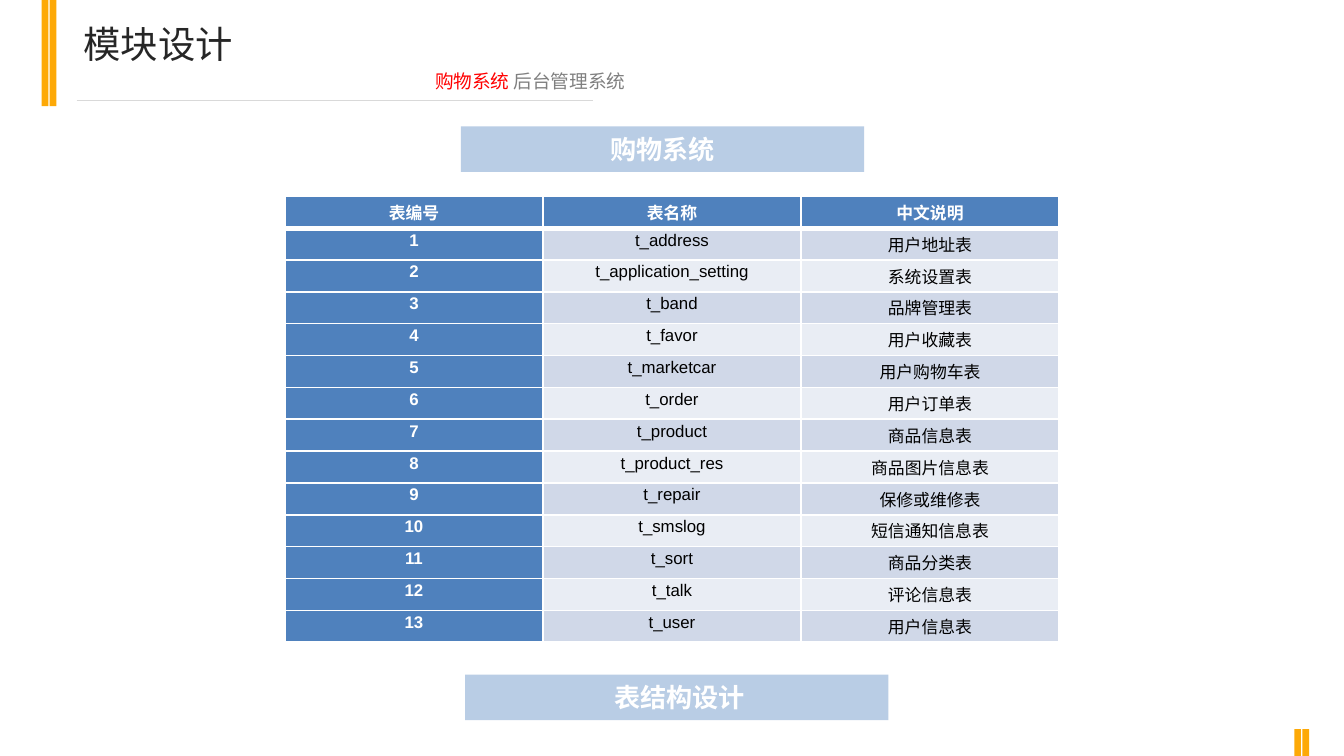
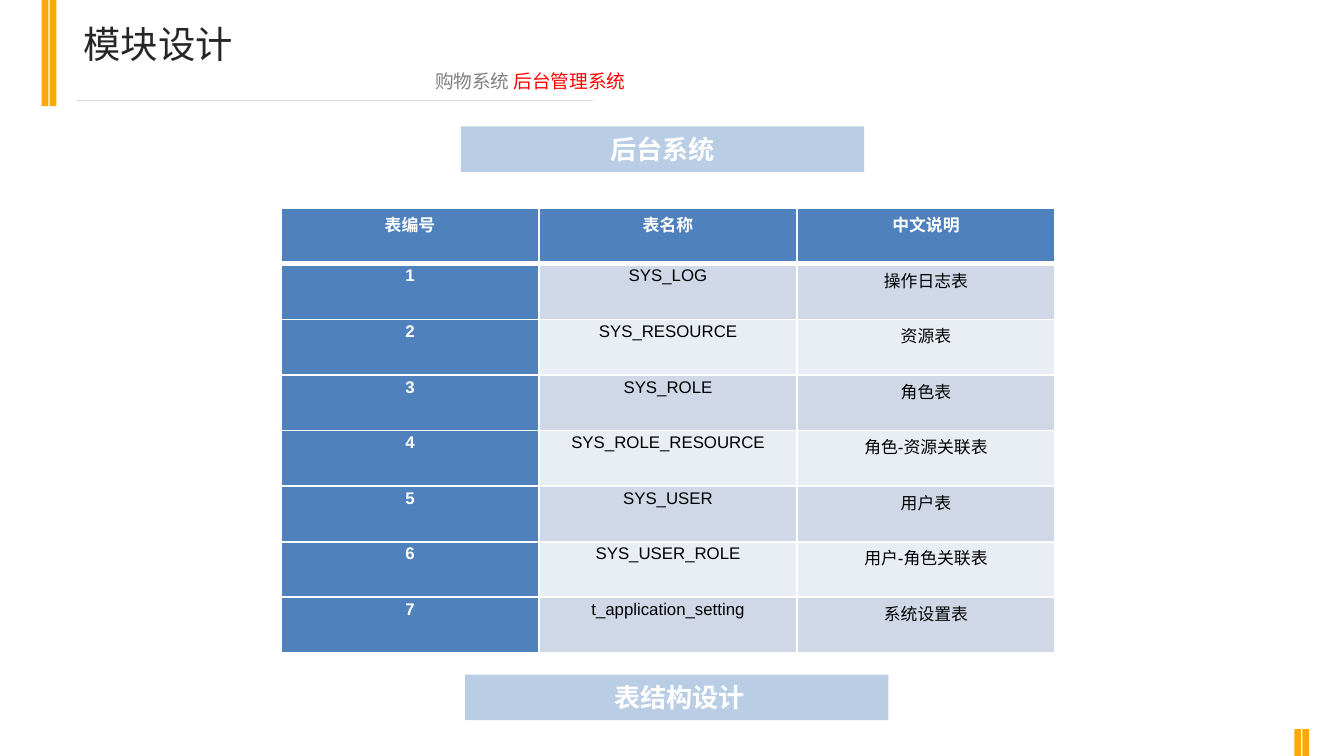
from lxml.etree import SubElement
from pptx import Presentation
from pptx.dml.color import RGBColor
from pptx.enum.shapes import MSO_CONNECTOR, MSO_SHAPE
from pptx.enum.text import MSO_ANCHOR, MSO_AUTO_SIZE, PP_ALIGN
from pptx.oxml.ns import qn
from pptx.util import Inches, Pt

COLORS = {
    "accent": "FDA907", "title": "262626", "active": "FF0000", "muted": "808080",
    "rule": "D9D9D9", "banner": "B9CDE5", "header": "4F81BD",
    "odd": "D0D8E8", "even": "E9EDF4", "white": "FFFFFF", "black": "000000",
}
CJK_FONT = "Noto Sans CJK SC"
TITLE_FONT = {"name": "Roboto Condensed", "size": Pt(20), "bold": False}
TAB_FONT = {"name": "Arial", "size": Pt(10), "bold": False}
BANNER_FONT = {"name": CJK_FONT, "size": Pt(14), "bold": True}
KEY_FONT = {"name": "Arial", "size": Pt(9), "bold": True}
CELL_FONT = {**KEY_FONT, "bold": False}

SYSTEMS = ["购物系统", "后台管理系统"]
HEADINGS = ["表编号", "表名称", "中文说明"]
PAGES = [
    {"banner": "购物系统", "active": 0, "table": (21.2, 25.96, 57.6, 59.02), "rows": [
        ("t_address", "用户地址表"), ("t_application_setting", "系统设置表"),
        ("t_band", "品牌管理表"), ("t_favor", "用户收藏表"),
        ("t_marketcar", "用户购物车表"), ("t_order", "用户订单表"),
        ("t_product", "商品信息表"), ("t_product_res", "商品图片信息表"),
        ("t_repair", "保修或维修表"), ("t_smslog", "短信通知信息表"),
        ("t_sort", "商品分类表"), ("t_talk", "评论信息表"), ("t_user", "用户信息表")]},
    {"banner": "后台系统", "active": 1, "table": (20.9, 27.56, 57.6, 58.84), "rows": [
        ("SYS_LOG", "操作日志表"), ("SYS_RESOURCE", "资源表"), ("SYS_ROLE", "角色表"),
        ("SYS_ROLE_RESOURCE", "角色-资源关联表"), ("SYS_USER", "用户表"),
        ("SYS_USER_ROLE", "用户-角色关联表"), ("t_application_setting", "系统设置表")]},
]

# Places are left, top, width, height in percent of the slide
BARS = [(3.1, 0, 0.5, 14.04), (3.7, 0, 0.5, 14.04),
        (96.9, 96.44, 0.5, 3.56), (96.3, 96.44, 0.5, 3.56)]
TITLE_AREA = (5.2, 1.96, 42.3, 7.82)
TAB_AREA = (5.2, 8.36, 42.3, 4.8)
RULE = (5.7, 13.33, 38.4, 0)
TOP_BANNER = (34.3, 16.71, 30, 6.04)
BOTTOM_BANNER = (34.6, 89.24, 31.5, 6.04)

deck = Presentation()
deck.slide_width = Inches(10)
deck.slide_height = deck.slide_width * 9 // 16


def place(area):
    sides = (deck.slide_width, deck.slide_height) * 2
    return [round(share * side / 100) for share, side in zip(area, sides)]


def write(para, text, style, color, align=PP_ALIGN.CENTER):
    para.alignment = align
    span = para.add_run()
    span.text = text
    for name, value in style.items():
        setattr(span.font, name, value)
    span.font.color.rgb = RGBColor.from_string(COLORS[color])
    SubElement(span.font._element, qn("a:ea"), typeface=CJK_FONT)


for content in PAGES:
    page = deck.slides.add_slide(deck.slide_layouts[5])

    # Accent bars and banners
    blocks = [(area, "accent", "") for area in BARS]
    blocks += [(BOTTOM_BANNER, "banner", " 表结构设计"),
               (TOP_BANNER, "banner", content["banner"])]
    for area, color, text in blocks:
        block = page.shapes.add_shape(MSO_SHAPE.RECTANGLE, *place(area))
        block.shadow.inherit = False
        block.fill.solid()
        block.fill.fore_color.rgb = RGBColor.from_string(COLORS[color])
        block.line.fill.background()
        if text:
            block.text_frame.vertical_anchor = MSO_ANCHOR.MIDDLE
            write(block.text_frame.paragraphs[0], text, BANNER_FONT, "white")

    # Title and system names
    title = page.shapes.title
    title.left, title.top, title.width, title.height = place(TITLE_AREA)
    tabs = page.shapes.add_textbox(*place(TAB_AREA))
    for box in (title, tabs):
        box.text_frame.word_wrap = True
        box.text_frame.auto_size = MSO_AUTO_SIZE.SHAPE_TO_FIT_TEXT
        box.text_frame.vertical_anchor = MSO_ANCHOR.TOP
    write(title.text_frame.paragraphs[0], "模块设计", TITLE_FONT, "title", PP_ALIGN.LEFT)
    for index, system in enumerate(SYSTEMS):
        gap = " " if index < len(SYSTEMS) - 1 else ""
        color = "active" if index == content["active"] else "muted"
        write(tabs.text_frame.paragraphs[0], system + gap, TAB_FONT, color, PP_ALIGN.RIGHT)

    # Rule under the heading
    left, top, width, height = place(RULE)
    rule = page.shapes.add_connector(
        MSO_CONNECTOR.STRAIGHT, left, top, left + width, top + height)
    rule.line.color.rgb = RGBColor.from_string(COLORS["rule"])
    rule.line.width = Pt(0.75)
    SubElement(rule._element.spPr, qn("a:effectLst"))

    # Table list
    records = [HEADINGS] + [
        (str(number), *row) for number, row in enumerate(content["rows"], 1)]
    area = place(content["table"])
    table = page.shapes.add_table(len(records), len(HEADINGS), *area).table
    for column in table.columns:
        column.width = area[2] // len(HEADINGS)
    for row_index, record in enumerate(records):
        table.rows[row_index].height = area[3] // len(records)
        for column_index, text in enumerate(record):
            cell = table.cell(row_index, column_index)
            cell.margin_left = cell.margin_right = Inches(0.07)
            cell.margin_top = cell.margin_bottom = 0
            is_key = row_index == 0 or column_index == 0
            for side in "LRTB":
                thick = (row_index, side) in [(0, "B"), (1, "T")]
                border = SubElement(cell._tc.get_or_add_tcPr(), qn("a:ln" + side),
                                    w=str(Pt(3 if thick else 1)))
                paint = SubElement(border, qn("a:solidFill"))
                SubElement(paint, qn("a:srgbClr"), val=COLORS["white"])
            fill = "header" if is_key else "odd" if row_index % 2 else "even"
            cell.fill.solid()
            cell.fill.fore_color.rgb = RGBColor.from_string(COLORS[fill])
            para = cell.text_frame.paragraphs[0]
            para.line_spacing = 1.15
            write(para, text, KEY_FONT if is_key else CELL_FONT,
                  "white" if is_key else "black")

deck.save("out.pptx")
